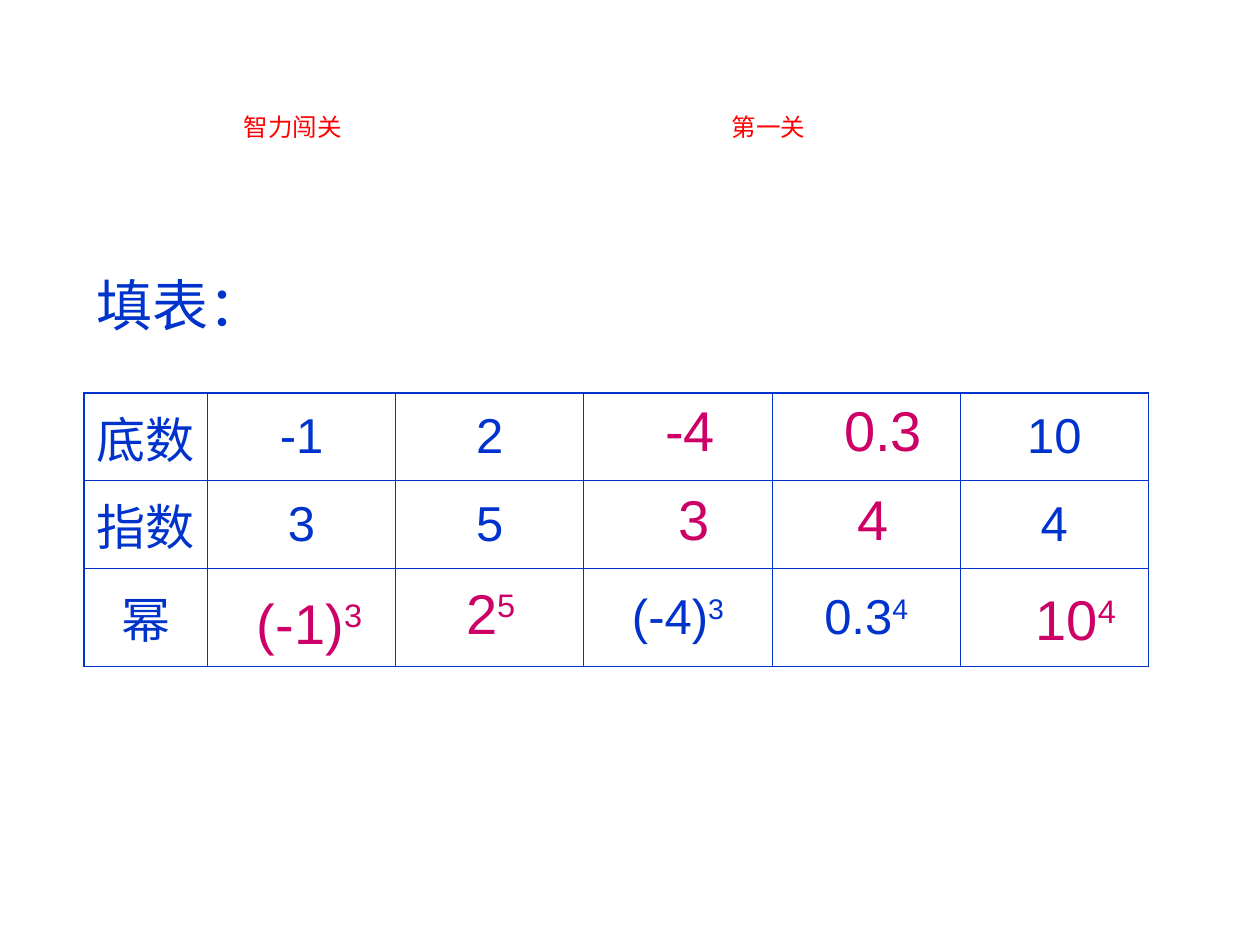
"""Build a slide with a fill-in table of bases, exponents and powers."""
from lxml import etree
from pptx import Presentation
from pptx.dml.color import RGBColor
from pptx.enum.text import MSO_ANCHOR, MSO_AUTO_SIZE, PP_ALIGN
from pptx.oxml.ns import qn
from pptx.util import Inches, Pt

LEFT, CENTER = PP_ALIGN.LEFT, PP_ALIGN.CENTER
MIDDLE = MSO_ANCHOR.MIDDLE
FIT, FIXED = MSO_AUTO_SIZE.SHAPE_TO_FIT_TEXT, MSO_AUTO_SIZE.NONE
COLORS = {"title": "FF0000", "given": "0033CC", "answer": "CC0066"}
SLIDE_WIDTH, SLIDE_HEIGHT = Inches(10), Inches(7.5)
GRID_COLUMNS, GRID_ROWS = 100, 75
TITLE_FONT, BODY_FONT = "Noto Sans CJK SC", "Arial"
OUTER_LINE, INNER_LINE = Pt(1.2), Pt(0.45)

TABLE_PLACE = (6.66, 31.2, 84.5, 21.7)
COLUMN_WIDTHS = [9.8] + [14.94] * 5
ROW_HEIGHTS = [6.95, 6.95, 7.8]
TABLE_ROWS = [
    ["底数", "-1", "2", "", "", "10"],
    ["指数", "3", "5", "", "", "4"],
    ["幂", "", "", "(-4)^3", "0.3^4", ""],
]
TITLES = [
    ("智力闯关", (7.5, 8.4, 31.5, 6.6)),
    ("第一关", (49.2, 8.4, 23.6, 5.8)),
]
ANSWERS = [
    ("(-1)^3", (19.4, 46.2, 10.8, 6.4)),
    ("2^5", (36, 45.4, 6.2, 6.4)),
    ("-4", (51.8, 30.9, 6.4, 6.4)),
    ("3", (52.9, 38, 4.8, 6.4)),
    ("4", (67.1, 38, 4.8, 6.4)),
    ("0.3", (66, 30.9, 8.5, 6.4)),
    ("10^4", (81.2, 45.9, 8.8, 6.4)),
]


def across(columns):
    """Return the width of a number of grid columns."""
    return round(SLIDE_WIDTH * columns / GRID_COLUMNS)


def down(rows):
    """Return the height of a number of grid rows."""
    return round(SLIDE_HEIGHT * rows / GRID_ROWS)


def place_on_grid(place):
    """Turn left, top, width and height in grid units into lengths."""
    left, top, width, height = place
    return across(left), down(top), across(width), down(height)


def write_text(frame, text, size=32, color="given", font=BODY_FONT, align=LEFT):
    """Write one paragraph, raising whatever follows a caret."""
    para = frame.paragraphs[0]
    para.alignment = align
    base, _, exponent = text.partition("^")
    for part, raised in ((base, False), (exponent, True)):
        if not part:
            continue
        span = para.add_run()
        span.text = part
        span.font.size = Pt(size)
        span.font.name = font
        span.font.color.rgb = RGBColor.from_string(COLORS[color])
        if raised:
            span.font._element.set("baseline", "30000")


def add_text_box(page, text, place, wrap=False, auto_size=FIT, **text_format):
    """Add a text box on the grid."""
    frame = page.shapes.add_textbox(*place_on_grid(place)).text_frame
    frame.word_wrap = wrap
    frame.auto_size = auto_size
    write_text(frame, text, **text_format)


def draw_border(cell, side, width):
    """Draw a solid line along one side of a cell."""
    properties = cell._tc.get_or_add_tcPr()
    line = etree.SubElement(properties, qn(f"a:ln{side}"), w=str(width))
    fill = etree.SubElement(line, qn("a:solidFill"))
    etree.SubElement(fill, qn("a:srgbClr"), val=COLORS["given"])


def add_power_table(page):
    """Add the table with a heavier outer frame."""
    row_count, column_count = len(ROW_HEIGHTS), len(COLUMN_WIDTHS)
    table = page.shapes.add_table(
        row_count, column_count, *place_on_grid(TABLE_PLACE)
    ).table
    table.first_row = table.horz_banding = False
    for column, width in zip(table.columns, COLUMN_WIDTHS):
        column.width = across(width)
    for row, height in zip(table.rows, ROW_HEIGHTS):
        row.height = down(height)
    for r, texts in enumerate(TABLE_ROWS):
        for c, text in enumerate(texts):
            cell = table.cell(r, c)
            cell.vertical_anchor = MIDDLE
            outer_sides = {
                "L": c == 0,
                "R": c == column_count - 1,
                "T": r == 0,
                "B": r == row_count - 1,
            }
            for side, is_outer in outer_sides.items():
                draw_border(cell, side, OUTER_LINE if is_outer else INNER_LINE)
            cell.fill.background()
            write_text(cell.text_frame, text, size=28, align=CENTER)


def main():
    """Build and save the deck."""
    deck = Presentation()
    deck.slide_width, deck.slide_height = SLIDE_WIDTH, SLIDE_HEIGHT
    page = deck.slides.add_slide(deck.slide_layouts[6])
    add_text_box(page, "填表：", (6.7, 21, 70.1, 6.4), wrap=True)
    add_power_table(page)
    for text, place in ANSWERS:
        add_text_box(page, text, place, color="answer")
    for text, place in TITLES:
        add_text_box(page, text, place, auto_size=FIXED, size=14,
                     color="title", font=TITLE_FONT, align=CENTER)
    deck.save("out.pptx")


if __name__ == "__main__":
    main()
